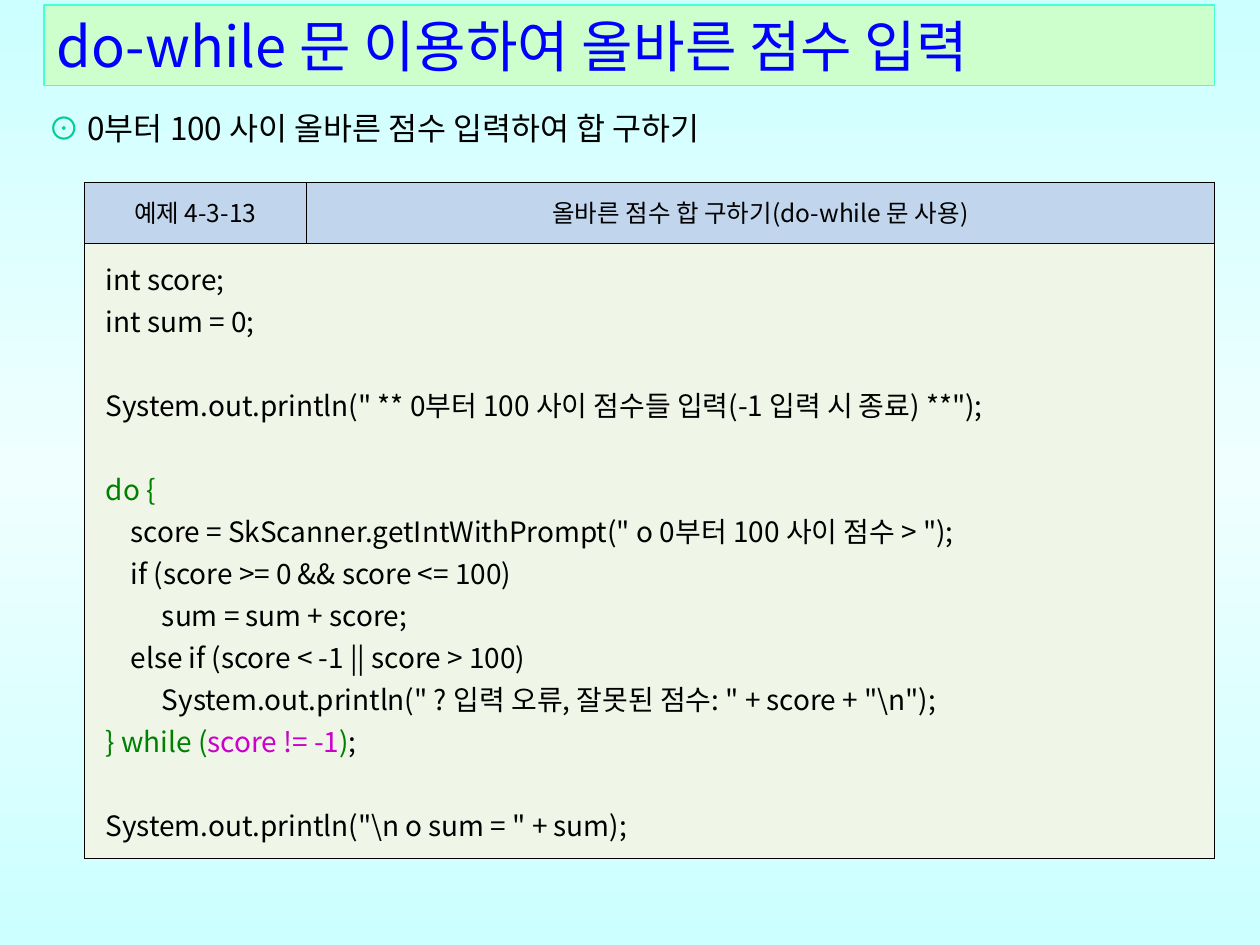
from lxml.etree import SubElement
from copy import deepcopy

from pptx import Presentation
from pptx.dml.color import RGBColor
from pptx.enum.text import MSO_ANCHOR, MSO_AUTO_SIZE, PP_ALIGN
from pptx.oxml import parse_xml
from pptx.oxml.ns import nsdecls, qn
from pptx.util import Inches, Pt

FONT = "Noto Sans CJK KR"
BLACK = RGBColor(0x00, 0x00, 0x00)
BLUE = RGBColor(0x00, 0x00, 0xFF)
GREEN = RGBColor(0x00, 0x80, 0x00)
MAGENTA = RGBColor(0xCC, 0x00, 0xCC)
TEAL = RGBColor(0x00, 0xCC, 0x99)
AQUA = RGBColor(0x47, 0xFF, 0xD1)
TITLE_FILL = RGBColor(0xCC, 0xFF, 0xCC)
HEADER_FILL = RGBColor(0xC1, 0xD6, 0xED)
CODE_FILL = RGBColor(0xEF, 0xF6, 0xE7)
SKY = RGBColor(0xCC, 0xFF, 0xFF)
PALE_SKY = RGBColor(0xF0, 0xFF, 0xFF)

TITLE = "do-while 문 이용하여 올바른 점수 입력"
SUBJECT = [("⊙ ", TEAL), ("0부터 100 사이 올바른 점수 입력하여 합 구하기", BLACK)]
HEADERS = ["예제 4-3-13", "올바른 점수 합 구하기(do-while 문 사용)"]
CODE = [
    [("int score;", BLACK)],
    [("int sum = 0;", BLACK)],
    [],
    [('System.out.println(" ** 0부터 100 사이 점수들 입력(-1 입력 시 종료) **");', BLACK)],
    [],
    [("do {", GREEN)],
    [('    score = SkScanner.getIntWithPrompt(" o 0부터 100 사이 점수 > ");', BLACK)],
    [("    if (score >= 0 && score <= 100)", BLACK)],
    [("         sum = sum + score;", BLACK)],
    [("    else if (score < -1 || score > 100)", BLACK)],
    [('         System.out.println(" ? 입력 오류, 잘못된 점수: " + score + "\\n");', BLACK)],
    [("} while (", GREEN), ("score != -1", MAGENTA), (")", GREEN), (";", BLACK)],
    [],
    [('System.out.println("\\n o sum = " + sum);', BLACK)],
]
COLUMN_WIDTHS = [1.76, 7.21]
ROW_HEIGHTS = [0.48, 4.88]
STOPS = [(0, SKY), (0.5, PALE_SKY), (1, SKY)]


def write(frame, lines, size, align=PP_ALIGN.LEFT, spacing=None, margin=None):
    """Fill a text frame; each line is a list of (text, colour) spans."""
    for number, line in enumerate(lines):
        para = frame.paragraphs[0] if number == 0 else frame.add_paragraph()
        para.alignment = align
        if spacing:
            para.line_spacing = Pt(spacing)
        if margin:
            properties = para._p.get_or_add_pPr()
            properties.set("marL", str(Inches(margin)))
            properties.set("indent", "0")
        para.font.size = Pt(size)
        for text, color in line:
            span = para.add_run()
            span.text = text
            span.font.size = Pt(size)
            span.font.bold = False
            span.font.color.rgb = color
            span.font.name = FONT
            SubElement(span._r.get_or_add_rPr(), qn("a:ea"), typeface=FONT)


def paint_background(slide):
    fill = slide.background.fill
    fill.gradient()
    fill.gradient_angle = 270
    stop_list = slide._element.find(".//" + qn("a:gsLst"))
    stop_list.append(deepcopy(stop_list[0]))
    for stop, (position, color) in zip(fill.gradient_stops, STOPS):
        stop.position = position
        stop.color.rgb = color


def format_cell(cell, color, top):
    cell.fill.solid()
    cell.fill.fore_color.rgb = color
    cell.vertical_anchor = MSO_ANCHOR.MIDDLE
    cell.margin_left = cell.margin_right = Inches(0.07)
    cell.margin_top, cell.margin_bottom = Inches(top), Inches(0.02)
    properties = cell._tc.get_or_add_tcPr()
    for index, side in enumerate(["lnL", "lnR", "lnT", "lnB"]):
        properties.insert(index, parse_xml(
            f'<a:{side} {nsdecls("a")} w="{Pt(0.28)}"><a:solidFill>'
            f'<a:srgbClr val="{BLACK}"/></a:solidFill></a:{side}>'))


def add_title(slide):
    title = slide.shapes.title
    title.left, title.top = Inches(0.35), Inches(0.04)
    title.width, title.height = Inches(9.29), Inches(0.64)
    title.fill.solid()
    title.fill.fore_color.rgb = TITLE_FILL
    title.line.color.rgb = AQUA
    title.line.width = Pt(0.75)
    frame = title.text_frame
    frame.auto_size = MSO_AUTO_SIZE.NONE
    frame.vertical_anchor = MSO_ANCHOR.MIDDLE
    write(frame, [[(TITLE, BLUE)]], 32)


def add_subject(slide):
    box = slide.shapes.add_textbox(Inches(0.29), Inches(0.84), Inches(9.29), Inches(0.62))
    box.text_frame.word_wrap = True
    write(box.text_frame, [SUBJECT], 18, spacing=20)


def add_example(slide):
    table = slide.shapes.add_table(
        2, 2, Inches(0.67), Inches(1.45),
        Inches(sum(COLUMN_WIDTHS)), Inches(sum(ROW_HEIGHTS))).table
    table.first_row = table.horz_banding = False
    for column, width in zip(table.columns, COLUMN_WIDTHS):
        column.width = Inches(width)
    for row, height in zip(table.rows, ROW_HEIGHTS):
        row.height = Inches(height)
    for index, header in enumerate(HEADERS):
        cell = table.cell(0, index)
        format_cell(cell, HEADER_FILL, top=0)
        write(cell.text_frame, [[(header, BLACK)]], 14, PP_ALIGN.CENTER, spacing=20)
        format_cell(table.cell(1, index), CODE_FILL, top=0.02)
    code_cell = table.cell(1, 0)
    code_cell.merge(table.cell(1, 1))
    write(code_cell.text_frame, CODE, 16, PP_ALIGN.JUSTIFY, spacing=24, margin=0.1)


def main():
    deck = Presentation()
    deck.slide_width, deck.slide_height = Inches(10), Inches(7.5)
    slide = deck.slides.add_slide(deck.slide_layouts[5])
    paint_background(slide)
    add_title(slide)
    add_subject(slide)
    add_example(slide)
    deck.save("out.pptx")


if __name__ == "__main__":
    main()
